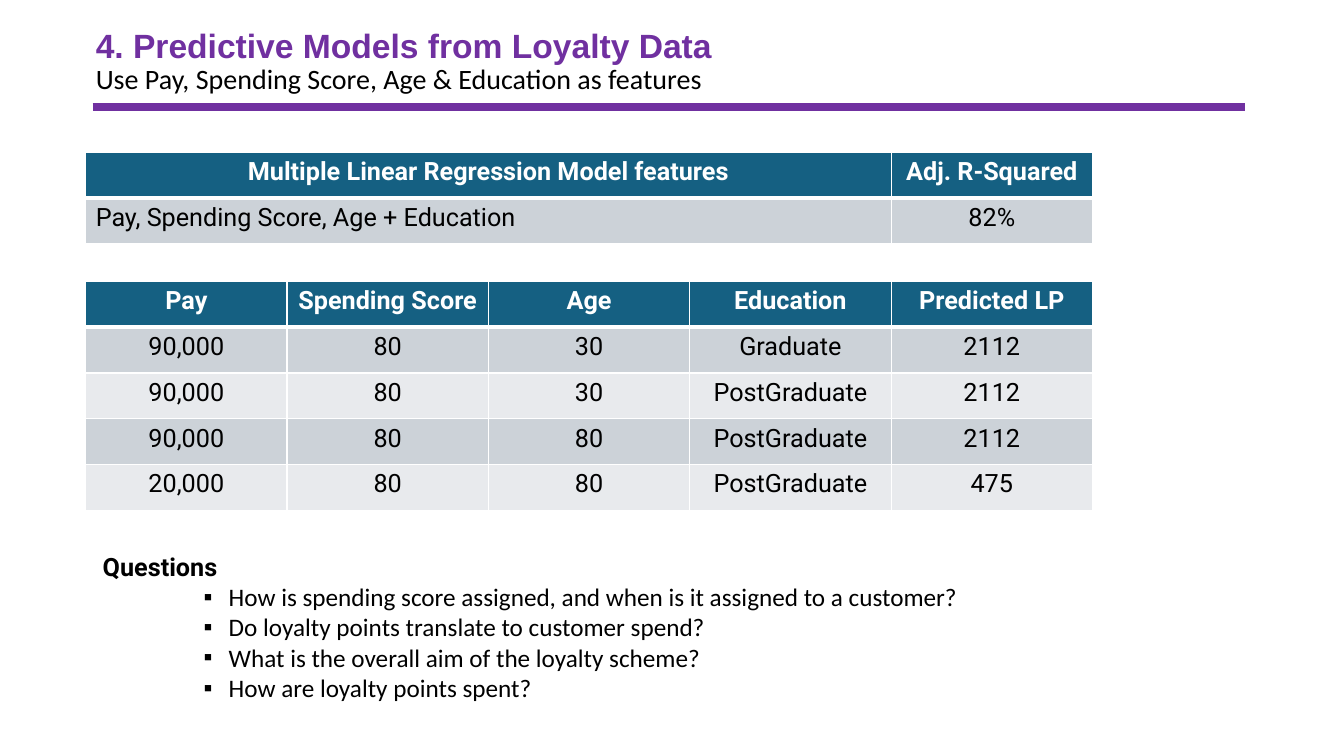
from lxml import etree
from pptx import Presentation
from pptx.dml.color import RGBColor
from pptx.enum.shapes import MSO_CONNECTOR
from pptx.enum.text import MSO_ANCHOR, MSO_AUTO_SIZE, PP_ALIGN
from pptx.oxml.ns import qn
from pptx.util import Pt

LEFT, CENTER = PP_ALIGN.LEFT, PP_ALIGN.CENTER
MIDDLE, TOP = MSO_ANCHOR.MIDDLE, MSO_ANCHOR.TOP
STRAIGHT = MSO_CONNECTOR.STRAIGHT
NO_AUTOFIT = MSO_AUTO_SIZE.NONE

# Content
TITLE = "4. Predictive Models from Loyalty Data"
SUBTITLE = "Use Pay, Spending Score, Age & Education as features"
MODEL_ROWS = [
    ("Multiple Linear Regression Model features", "Adj. R-Squared"),
    ("Pay, Spending Score, Age + Education", "82%"),
]
PREDICTION_ROWS = [
    ("Pay", "Spending Score", "Age", "Education", "Predicted LP"),
    ("90,000", "80", "30", "Graduate", "2112"),
    ("90,000", "80", "30", "PostGraduate", "2112"),
    ("90,000", "80", "80", "PostGraduate", "2112"),
    ("20,000", "80", "80", "PostGraduate", "475"),
]
QUESTIONS_HEADING = "Questions"
QUESTIONS = [
    "How is spending score assigned, and when is it assigned to a customer?",
    "Do loyalty points translate to customer spend?",
    "What is the overall aim of the loyalty scheme?",
    "How are loyalty points spent?",
]
COLORS = {
    "purple": "7030A0", "header": "156082", "band_dark": "CCD2D8",
    "band_light": "E8EAED", "white": "FFFFFF", "black": "000000",
}

# Layout in points
TABLE_LEFT, TABLE_WIDTH, ROW_HEIGHT = 61.2, 719.2, 32.7
LAST_COL = TABLE_WIDTH / 5


def rgb(name):
    return RGBColor.from_string(COLORS[name])


def style(font, name, size, color, bold):
    font.name, font.size, font.bold = name, Pt(size), bold
    font.color.rgb = rgb(color)


def place(sp, left, top, width, height):
    sp.left, sp.top, sp.width, sp.height = map(Pt, (left, top, width, height))


def add_borders(cell, weights):
    tcPr = cell._tc.get_or_add_tcPr()
    for side, weight in weights.items():
        ln = etree.SubElement(tcPr, qn(f"a:ln{side}"), w=str(Pt(weight)))
        fill = etree.SubElement(ln, qn("a:solidFill"))
        etree.SubElement(fill, qn("a:srgbClr"), val=COLORS["white"])


def add_grid(s, rows, top, col_widths, left_cols=()):
    frame = s.shapes.add_table(len(rows), len(col_widths), Pt(TABLE_LEFT), Pt(top),
                               Pt(TABLE_WIDTH), Pt(ROW_HEIGHT * len(rows)))
    table = frame.table
    for col, width in zip(table.columns, col_widths):
        col.width = Pt(width)
    for i, values in enumerate(rows):
        table.rows[i].height = Pt(ROW_HEIGHT)
        header = i == 0
        band = "header" if header else "band_dark" if i % 2 else "band_light"
        for j, value in enumerate(values):
            cell = table.cell(i, j)
            # The rule under the header is heavier than the other borders
            add_borders(cell, {"L": 1, "R": 1, "T": 3 if i == 1 else 1,
                               "B": 3 if header else 1})
            cell.fill.solid()
            cell.fill.fore_color.rgb = rgb(band)
            cell.text = value
            p = cell.text_frame.paragraphs[0]
            p.alignment = LEFT if j in left_cols and not header else CENTER
            style(p.runs[0].font, "Roboto", 18, "white" if header else "black", header)


prs = Presentation()
prs.slide_width, prs.slide_height = Pt(960), Pt(540)
s = prs.slides.add_slide(prs.slide_layouts[1])
title, body = s.placeholders

# Rule under the title
rule = s.shapes.add_connector(STRAIGHT, Pt(66.2), Pt(76.3), Pt(889.2), Pt(76.3))
rule.line.color.rgb = rgb("purple")
rule.line.width = Pt(6)
etree.SubElement(rule._element.spPr, qn("a:effectLst"))

# Title and subtitle
place(title, 61.2, 6.5, 828, 76.3)
tf = title.text_frame
tf.text = f"{TITLE}\v{SUBTITLE}"
tf.auto_size, tf.vertical_anchor = NO_AUTOFIT, MIDDLE
p = tf.paragraphs[0]
p.alignment, p.line_spacing = LEFT, 0.9
style(p.runs[0].font, "Arial", 24, "purple", True)
style(p.runs[1].font, "Calibri", 20, "black", False)

# Tables
add_grid(s, PREDICTION_ROWS, 201, [LAST_COL] * 5)
add_grid(s, MODEL_ROWS, 108.9, [TABLE_WIDTH - LAST_COL, LAST_COL], left_cols=(0,))

# Questions
place(body, 66.2, 390.2, 714.2, 138.2)
tf = body.text_frame
tf.text = "\n".join([QUESTIONS_HEADING] + QUESTIONS)
tf.auto_size, tf.vertical_anchor = NO_AUTOFIT, TOP
for i, p in enumerate(tf.paragraphs):
    heading = i == 0
    p.level = 0 if heading else 2
    p.space_before = Pt(0)
    pPr = p._p.get_or_add_pPr()
    pPr.set("marL", str(Pt(0 if heading else 90)))
    pPr.set("indent", str(Pt(0 if heading else -18)))
    if heading:
        etree.SubElement(pPr, qn("a:buNone"))
    else:
        etree.SubElement(pPr, qn("a:buFont"), typeface="Arial")
        etree.SubElement(pPr, qn("a:buChar"), char="▪")
    style(p.runs[0].font, "Roboto" if heading else "Calibri", 18, "black", heading)

prs.save("out.pptx")
